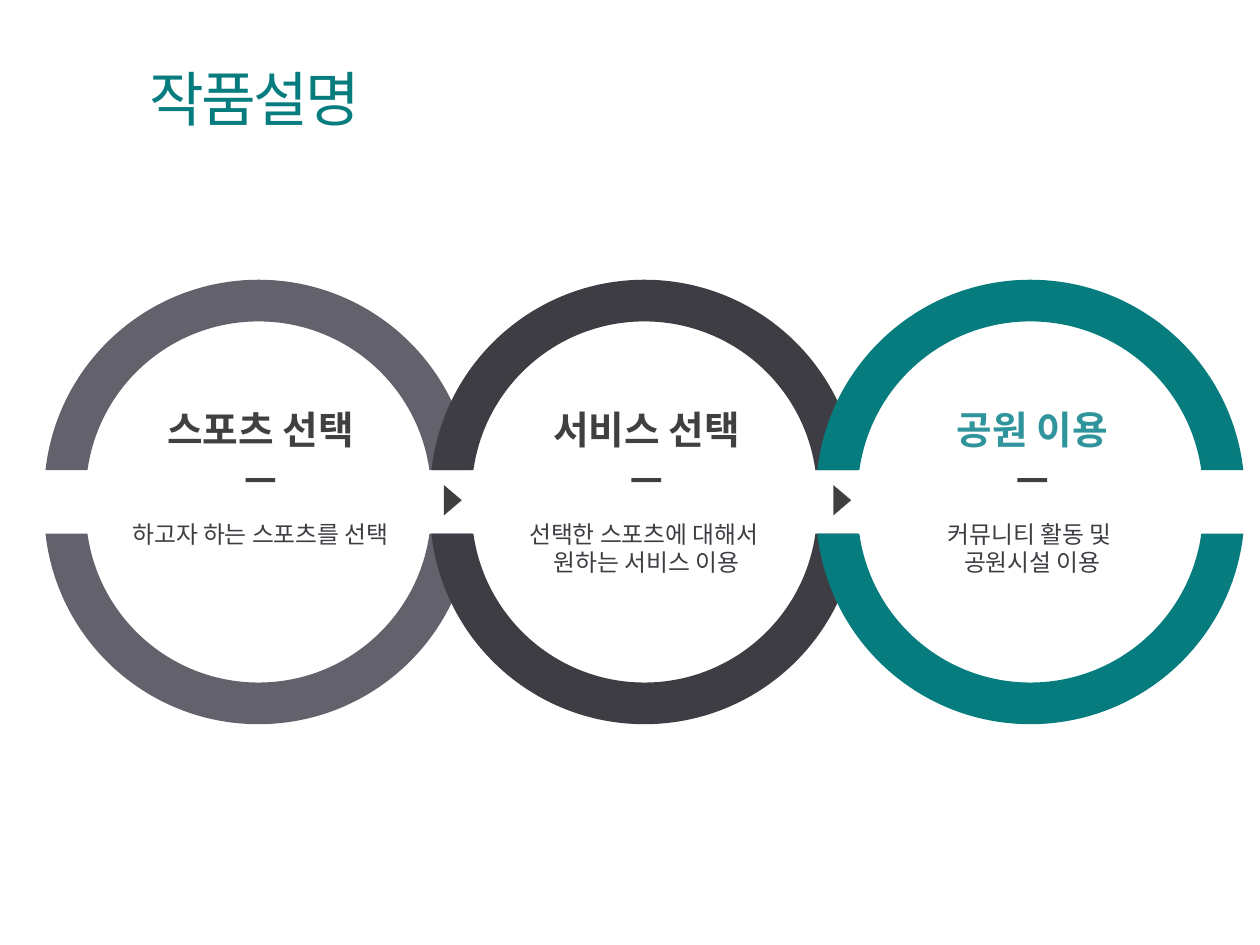
import math

from lxml import etree
from pptx import Presentation
from pptx.dml.color import RGBColor
from pptx.enum import shapes, text
from pptx.oxml.ns import qn
from pptx.util import Cm, Pt

FONT = "Noto Sans CJK KR"
TEAL = RGBColor(0x06, 0x7C, 0x7E)
LIGHT_TEAL = RGBColor(0x30, 0x94, 0x9C)
GRAY = RGBColor(0x63, 0x61, 0x6B)
CHARCOAL = RGBColor(0x3E, 0x3D, 0x43)
DARK = RGBColor(0x3F, 0x3F, 0x3F)
HEADING = RGBColor(0x40, 0x40, 0x40)
WHITE = RGBColor(0xFF, 0xFF, 0xFF)

RING_W, RING_H = 8.64, 8.96
OUTER, INNER, CUT = 4.32, 3.48, 0.48
STEPS = [
    (GRAY, HEADING, "스포츠 선택", 5.26, ["하고자 하는 스포츠를 선택"], 6.35),
    (CHARCOAL, HEADING, "서비스 선택", 4.72, ["선택한 스포츠에 대해서 ", "원하는 서비스 이용"], 5.87),
    (TEAL, LIGHT_TEAL, "공원 이용", 3.94, ["커뮤니티 활동 및 ", "공원시설 이용"], 4.42),
]


def paint(sp, color):
    """Give a shape a flat fill without line or shadow."""
    sp.shadow.inherit = False
    sp.fill.solid()
    sp.fill.fore_color.rgb = color
    sp.line.fill.background()


def write(tf, lines, size, color, bold=False, align=None, spacing=None, spc=None):
    """Write one formatted paragraph for each line of text."""
    for i, line in enumerate(lines):
        p = tf.paragraphs[0] if i == 0 else tf.add_paragraph()
        p.alignment = align
        p.line_spacing = spacing
        r = p.add_run()
        r.text = line
        r.font.size, r.font.bold, r.font.name = Pt(size), bold, FONT
        r.font.color.rgb = color
        rPr = r.font._element
        rPr.set("kern", "0")
        rPr.find(qn("a:latin")).addnext(rPr.makeelement(qn("a:ea"), {"typeface": FONT}))
        if spc is not None:
            rPr.set("spc", str(spc))


def add_label(s, cx, y, w, h, lines, **fmt):
    """Add an unwrapped text box centred on cx."""
    tf = s.shapes.add_textbox(Cm(cx - w / 2), Cm(y), Cm(w), Cm(h)).text_frame
    tf.word_wrap = False
    tf.auto_size = text.MSO_AUTO_SIZE.SHAPE_TO_FIT_TEXT
    write(tf, lines, align=text.PP_ALIGN.CENTER, **fmt)


def add_outline(s, segments, color):
    """Draw a closed outline; a segment of three points is a Bezier curve."""
    ends = [(Cm(seg[-1][0]), Cm(seg[-1][1])) for seg in segments]
    fb = s.shapes.build_freeform(*ends[0], scale=1.0)
    fb.add_line_segments(ends[1:], close=True)
    sp = fb.convert_to_shape()
    lines = list(sp._element.iter(qn("a:lnTo")))
    for line, seg in zip(lines, segments[1:]):
        if len(seg) == 3:
            line.tag = qn("a:cubicBezTo")
            for i, (x, y) in enumerate(seg[:2]):
                pt = etree.Element(qn("a:pt"), x=str(Cm(x) - sp.left), y=str(Cm(y) - sp.top))
                line.insert(i, pt)
    paint(sp, color)


def quarter_arc(cx, cy, radius, a, b):
    """Return the Bezier segment of a circle from angle a to angle b."""
    k = 4 / 3 * math.tan((b - a) / 4)
    ca, sa, cb, sb = math.cos(a), math.sin(a), math.cos(b), math.sin(b)
    units = ((ca - k * sa, sa + k * ca), (cb + k * sb, sb - k * cb), (cb, sb))
    return [(cx + radius * x, cy + radius * y) for x, y in units]


def add_half_ring(s, cx, cy, side, color):
    """Draw half a ring cut flat near its centre; side is 1 down, -1 up."""
    top = side * math.pi / 2
    a, b = (side * math.asin(CUT / radius) for radius in (OUTER, INNER))
    far_a, far_b = side * math.pi - a, side * math.pi - b
    segments = [
        [(cx + OUTER * math.cos(a), cy + side * CUT)],
        quarter_arc(cx, cy, OUTER, a, top),
        quarter_arc(cx, cy, OUTER, top, far_a),
        [(cx + INNER * math.cos(far_b), cy + side * CUT)],
        quarter_arc(cx, cy, INNER, far_b, top),
        quarter_arc(cx, cy, INNER, top, b),
    ]
    add_outline(s, segments, color)


def add_step(s, x, y, w, h, color, head_color, head, head_w, lines, lines_w):
    """Draw a split ring with its heading, dash and description."""
    cx = x + w / 2
    add_half_ring(s, cx, y + h - OUTER, 1, color)
    add_half_ring(s, cx, y + OUTER, -1, color)
    mid = cx + 0.04
    for kind, dy, sw, sh, fill in (
        (shapes.MSO_SHAPE.OVAL, 1.42, 6.18, 6.2, WHITE),
        (shapes.MSO_SHAPE.RECTANGLE, 4.0, 0.6, 0.08, DARK),
    ):
        paint(s.shapes.add_shape(kind, Cm(mid - sw / 2), Cm(y + dy), Cm(sw), Cm(sh)), fill)
    add_label(s, mid, y + 4.71, lines_w, 0.25 + 0.59 * len(lines), lines, size=13.6, color=CHARCOAL)
    add_label(s, mid, y + 2.41, head_w, 1.2, [head], size=22.1, color=head_color, bold=True)


def add_arrow(s, x, y, w, h):
    """Draw a small triangle pointing right."""
    add_outline(s, [[(x, y)], [(x + w, y + h / 2)], [(x, y + h)]], DARK)


def add_title(s, x, y, w, h, title):
    """Place and format the title placeholder."""
    sp = s.shapes.title
    sp.left, sp.top, sp.width, sp.height = Cm(x), Cm(y), Cm(w), Cm(h)
    tf = sp.text_frame
    tf.vertical_anchor = text.MSO_ANCHOR.MIDDLE
    write(tf, [title], 34, TEAL, align=text.PP_ALIGN.LEFT, spacing=0.9, spc=-150)


def main():
    """Build the slide and save it."""
    prs = Presentation()
    prs.slide_width, prs.slide_height = Cm(25.4), Cm(19.05)
    s = prs.slides.add_slide(prs.slide_layouts[5])
    add_title(s, 2.76, 0.91, 21.9, 2.29, "작품설명")
    for x in (8.95, 16.8):
        add_arrow(s, x, 9.78, 0.36, 0.61)
    for i, step in enumerate(STEPS):
        add_step(s, 0.89 + 7.78 * i, 5.64, RING_W, RING_H, *step)
    prs.save("out.pptx")


if __name__ == "__main__":
    main()
